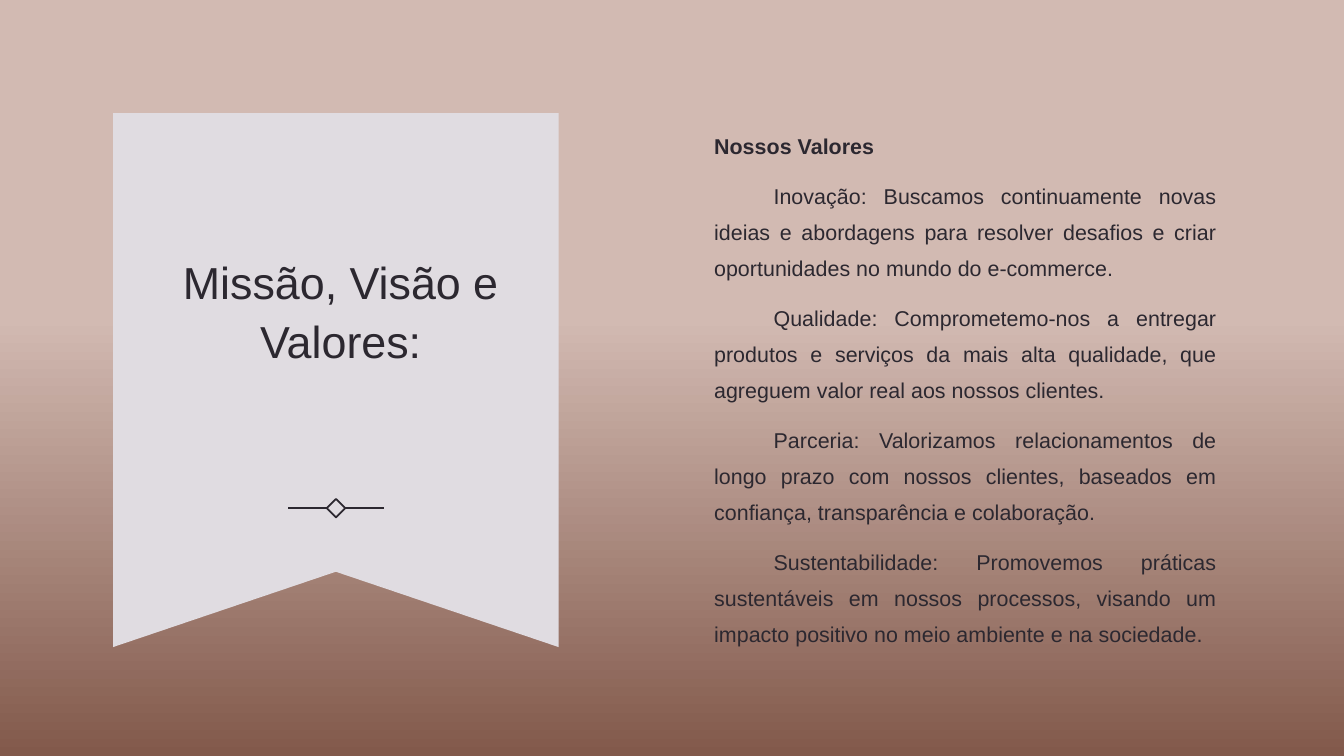
from pptx import Presentation
from pptx.dml.color import RGBColor
from pptx.enum import shapes, text
from pptx.oxml import parse_xml
from pptx.oxml.ns import nsdecls
from pptx.util import Pt

TITLE = "Missão, Visão e Valores:"
HEADING = "Nossos Valores"
VALUES = [
    "Inovação: Buscamos continuamente novas ideias e abordagens para resolver desafios e criar oportunidades no mundo do e-commerce.",
    "Qualidade: Comprometemo-nos a entregar produtos e serviços da mais alta qualidade, que agreguem valor real aos nossos clientes.",
    "Parceria: Valorizamos relacionamentos de longo prazo com nossos clientes, baseados em confiança, transparência e colaboração.",
    "Sustentabilidade: Promovemos práticas sustentáveis em nossos processos, visando um impacto positivo no meio ambiente e na sociedade.",
]
COLORS = {"ink": "2C2830", "banner": "E0DCE1", "brown": "82594B", "rose": "D2BAB2"}
GRADIENT = [(0, "brown"), (0.58, "rose")]
BANNER = {"left": 80.8, "top": 80.8, "right": 399, "bottom": 462.2, "notch": 408.4}
ORNAMENT = {"x": 240, "y": 363, "diamond": 13.2, "reach": 34.2, "line": 1.25}


def color(name):
    return RGBColor.from_string(COLORS[name])


def add_text(slide, box, paragraphs, size, spacing, align, anchor, gap=0):
    frame = slide.shapes.add_textbox(*map(Pt, box)).text_frame
    frame.word_wrap = True
    frame.vertical_anchor = anchor
    frame.margin_top = frame.margin_bottom = 0
    for i, (words, bold, indent) in enumerate(paragraphs):
        paragraph = frame.paragraphs[0] if i == 0 else frame.add_paragraph()
        paragraph.alignment = align
        paragraph.line_spacing = Pt(spacing)
        paragraph.space_before = Pt(gap if i else 0)
        if indent:
            paragraph._p.get_or_add_pPr().set("indent", str(Pt(indent)))
        run = paragraph.add_run()
        run.text = words
        run.font.name = "Arial"
        run.font.size = Pt(size)
        run.font.bold = bold
        run.font.color.rgb = color("ink")


def add_banner(slide):
    left, top, right, bottom, notch = BANNER.values()
    outline = slide.shapes.build_freeform(Pt(left), Pt(top))
    corners = [(right, top), (right, bottom), ((left + right) / 2, notch), (left, bottom)]
    outline.add_line_segments([(Pt(x), Pt(y)) for x, y in corners], close=True)
    banner = outline.convert_to_shape()
    banner.shadow.inherit = False
    banner.fill.solid()
    banner.fill.fore_color.rgb = color("banner")
    banner.line.fill.background()


def add_ornament(slide):
    x, y, side, reach, weight = ORNAMENT.values()
    diamond = slide.shapes.add_shape(
        shapes.MSO_SHAPE.DIAMOND, Pt(x - side / 2), Pt(y - side / 2), Pt(side), Pt(side))
    diamond.shadow.inherit = False
    diamond.fill.background()
    diamond.line.color.rgb = color("ink")
    diamond.line.width = Pt(weight)
    for direction, site in [(-1, 1), (1, 3)]:
        arm = slide.shapes.add_connector(
            shapes.MSO_CONNECTOR.STRAIGHT, Pt(x + direction * reach), Pt(y), Pt(x), Pt(y))
        arm.end_connect(diamond, site)
        arm.line.color.rgb = color("ink")
        arm.line.width = Pt(weight)
        arm._element.spPr.append(parse_xml(f"<a:effectLst {nsdecls('a')}/>"))


def main():
    deck = Presentation()
    deck.slide_width, deck.slide_height = Pt(960), Pt(540)
    slide = deck.slides.add_slide(deck.slide_layouts[6])

    backdrop = slide.background.fill
    backdrop.gradient()
    backdrop.gradient_angle = 90
    for stop, (position, name) in zip(backdrop.gradient_stops, GRADIENT):
        stop.position = position
        stop.color.rgb = color(name)

    add_banner(slide)
    add_ornament(slide)
    add_text(slide, (110.9, 107, 265, 226), [(TITLE, False, 0)], size=32, spacing=42.2,
             align=text.PP_ALIGN.CENTER, anchor=text.MSO_ANCHOR.MIDDLE)
    body = [(HEADING, True, 0)] + [(value, False, 42.5) for value in VALUES]
    add_text(slide, (503, 88, 373, 375), body, size=15.3, spacing=25.7, gap=10,
             align=text.PP_ALIGN.JUSTIFY, anchor=text.MSO_ANCHOR.TOP)
    deck.save("out.pptx")


if __name__ == "__main__":
    main()
